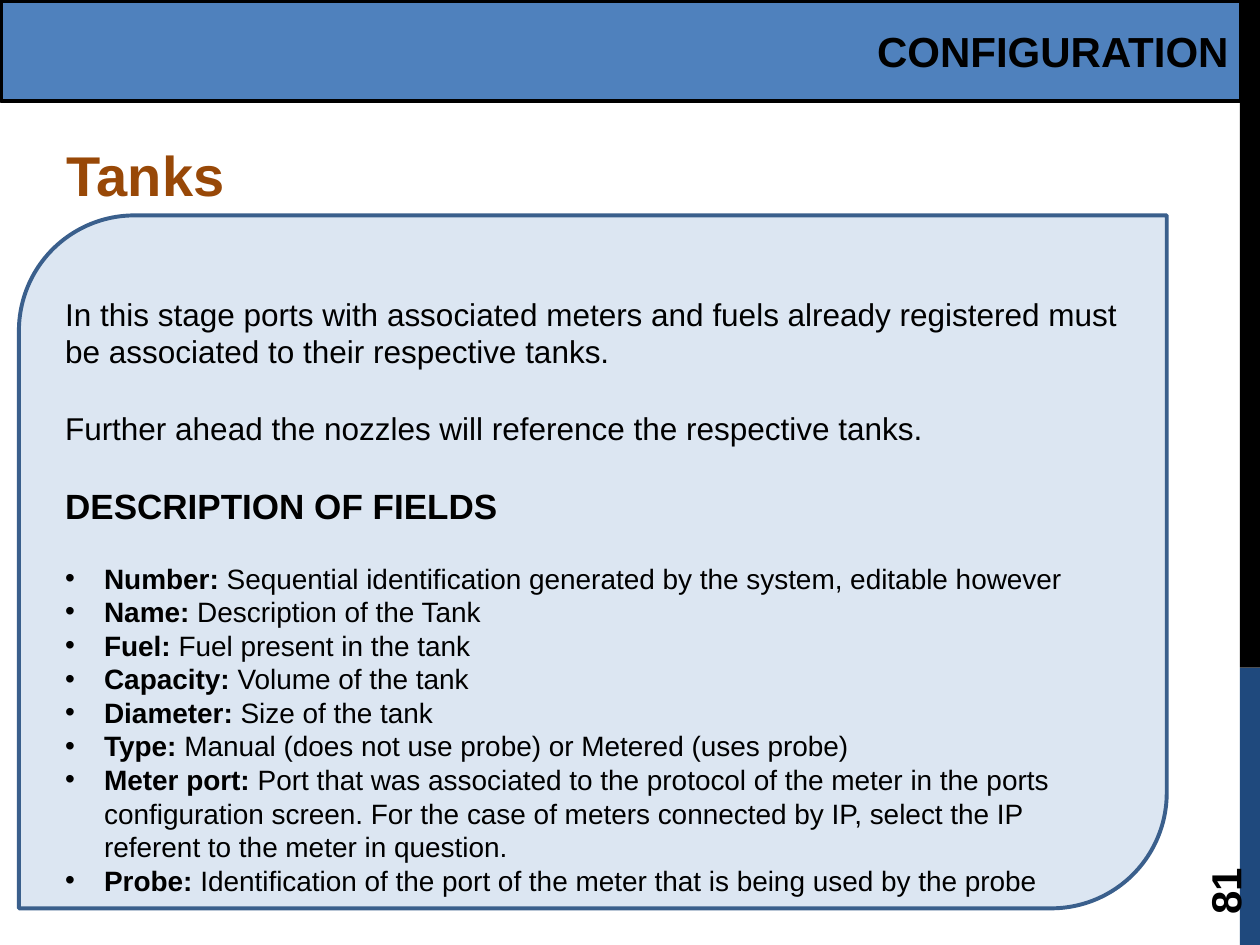
from lxml.etree import SubElement
from pptx import Presentation
from pptx.dml.color import RGBColor
from pptx.enum.shapes import MSO_SHAPE as Preset
from pptx.enum.text import MSO_ANCHOR as Anchor, PP_ALIGN as Align
from pptx.oxml.ns import qn
from pptx.util import Inches, Pt

WIDTH, HEIGHT = 10, 7.5
SIDE = 9.84
BLACK = "000000"
BULLET_INDENT = 0.31

INTRO = [
    "In this stage ports with associated meters and fuels already registered must "
    "be associated to their respective tanks.",
    "Further ahead the nozzles will reference the respective tanks.",
]
FIELDS = [
    ("Number:", "Sequential identification generated by the system, editable however"),
    ("Name:", "Description of the Tank"),
    ("Fuel:", "Fuel present in the tank"),
    ("Capacity:", "Volume of the tank"),
    ("Diameter:", "Size of the tank"),
    ("Type:", "Manual (does not use probe) or Metered (uses probe)"),
    ("Meter port:", "Port that was associated to the protocol of the meter in the ports "
     "configuration screen. For the case of meters connected by IP, select the IP "
     "referent to the meter in question."),
    ("Probe:", "Identification of the port of the meter that is being used by the probe"),
]


def color(code):
    return RGBColor.from_string(code)


def add_block(slide, box, fill, outline=None, preset=Preset.RECTANGLE):
    block = slide.shapes.add_shape(preset, *map(Inches, box))
    block.shadow.inherit = False
    block.fill.solid()
    block.fill.fore_color.rgb = color(fill)
    if outline:
        block.line.color.rgb = color(outline)
        block.line.width = Pt(2.25)
    else:
        block.line.fill.background()
    return block


def add_run(paragraph, words, size, bold=False, ink=BLACK):
    run = paragraph.add_run()
    run.text = words
    run.font.name = "Arial"
    run.font.size = Pt(size)
    run.font.bold = bold
    run.font.color.rgb = color(ink)


def add_paragraph(frame, gap=0):
    first = frame.paragraphs[0]
    paragraph = frame.add_paragraph() if first.runs else first
    paragraph.alignment = Align.LEFT
    if gap:
        paragraph.space_before = Pt(gap)
    return paragraph


def add_bullet(paragraph):
    properties = paragraph._p.get_or_add_pPr()
    properties.set("marL", str(Inches(BULLET_INDENT)))
    properties.set("indent", str(-Inches(BULLET_INDENT)))
    SubElement(properties, qn("a:buFont")).set("typeface", "Arial")
    SubElement(properties, qn("a:buChar")).set("char", "•")


def draw_side_bar(slide, left, top, width, height):
    split = 5.3
    add_block(slide, (left, top + split, width, height - split), "1F497D")
    add_block(slide, (left, top, width, split), BLACK)


def draw_page_number(slide, *box):
    page = slide.shapes.add_textbox(*map(Inches, box))
    page.rotation = 270
    page.text_frame.word_wrap = True
    page.text_frame.vertical_anchor = Anchor.MIDDLE
    add_run(add_paragraph(page.text_frame), "81", 24, True)


def draw_header(slide, *box):
    header = add_block(slide, box, "4F81BD", BLACK)
    header.text_frame.vertical_anchor = Anchor.MIDDLE
    section = add_paragraph(header.text_frame)
    section.alignment = Align.RIGHT
    add_run(section, "CONFIGURATION", 24, True)


def draw_title(slide, *box):
    title = slide.shapes.add_textbox(*map(Inches, box))
    title.text_frame.word_wrap = True
    title.text_frame.margin_left = Inches(0.35)
    add_run(add_paragraph(title.text_frame), "Tanks", 32, True, "984807")


def draw_fields_panel(slide, *box):
    panel = add_block(slide, box, "DCE6F2", "3A5F8C", Preset.ROUND_2_DIAG_RECTANGLE)
    frame = panel.text_frame
    frame.word_wrap = True
    frame.vertical_anchor = Anchor.TOP
    frame.margin_top = Inches(0.36)
    for index, sentence in enumerate(INTRO):
        add_run(add_paragraph(frame, 22 if index else 0), sentence, 18)
    add_run(add_paragraph(frame, 22), "DESCRIPTION OF FIELDS", 20, True)
    for index, (field, meaning) in enumerate(FIELDS):
        entry = add_paragraph(frame, 0 if index else 19.5)
        add_bullet(entry)
        add_run(entry, field, 16, True)
        add_run(entry, f" {meaning}", 16)


def main():
    deck = Presentation()
    deck.slide_width, deck.slide_height = Inches(WIDTH), Inches(HEIGHT)
    slide = deck.slides.add_slide(deck.slide_layouts[6])
    draw_side_bar(slide, SIDE, 0, WIDTH - SIDE, HEIGHT)
    draw_page_number(slide, 9, 6.44, 1.44, 0.4)
    draw_header(slide, 0.01, 0.01, SIDE, 0.79)
    draw_title(slide, 0.18, 1.07, 9.54, 0.64)
    draw_fields_panel(slide, 0.15, 1.71, 9.11, 5.5)
    deck.save("out.pptx")


if __name__ == "__main__":
    main()
